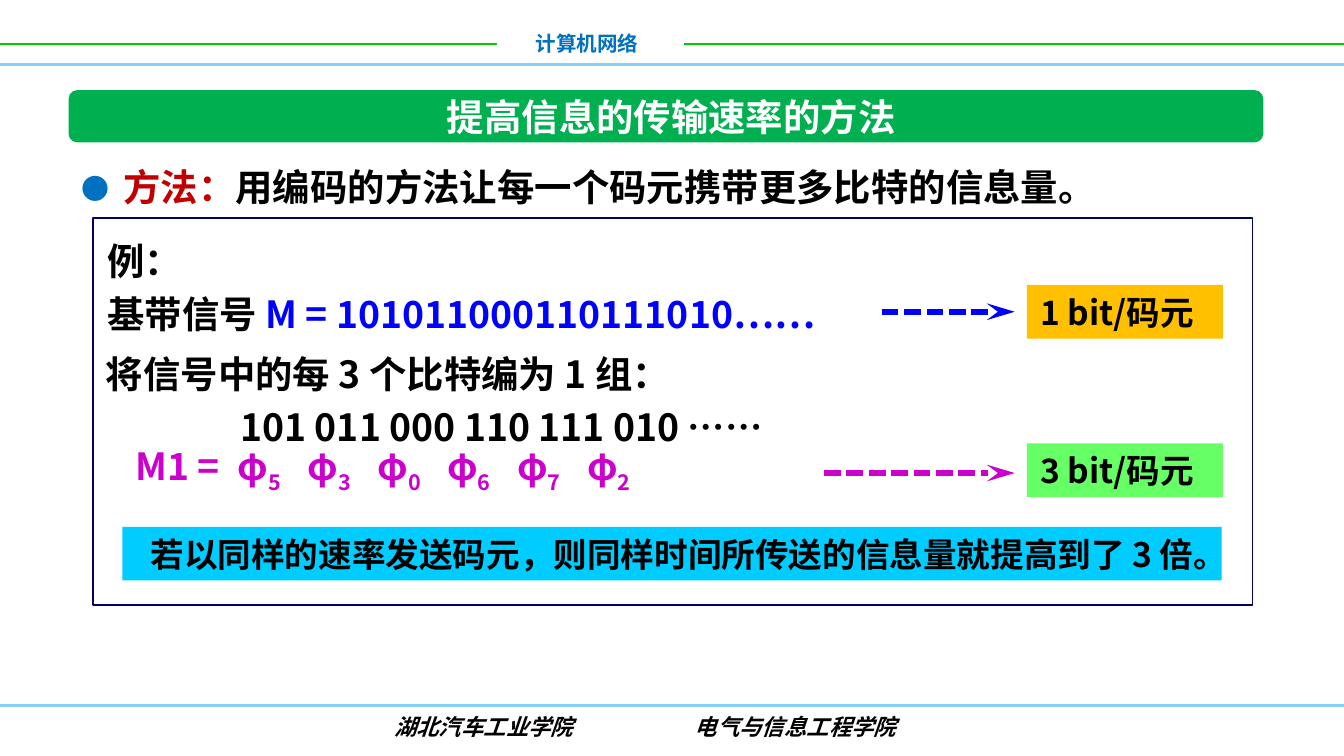
from lxml import etree
from pptx import Presentation
from pptx.dml.color import RGBColor
from pptx.enum import dml, shapes, text
from pptx.oxml.ns import qn
from pptx.util import Inches, Pt

FONT = "Noto Sans CJK SC"
HUES = dict(black="000000", white="FFFFFF", lime="00CC00", sky="85D1F7",
            azure="0070C0", green="00B050", red="C00000", navy="000066",
            pink="CC00CC", mint="66FF66", blue="0000FF", gold="FFC000",
            cyan="00CCFF")
LEFT, MID = text.PP_ALIGN.LEFT, text.PP_ALIGN.CENTER
TITLE = "提高信息的传输速率的方法"
RULES = [
    (0, 3.7, 0.33, "lime", 1),
    (0, 10, 0.48, "sky", 2),
    (5.09, 10, 0.33, "lime", 1),
    (0, 10, 5.25, "sky", 1.5),
]
FOOT = [("湖北汽车工业学院", 3.6), ("电气与信息工程学院", 5.92)]
POINT = [("方法：", "red"), ("用编码的方法让每一个码元携带更多比特的信息量。", "black")]
BASE = [
    [("例：", "black")],
    [("基带信号 ", "black"), ("M = 101011000110111010……", "blue")],
]
GROUP = [
    [("将信号中的每 3 个比特编为 1 组：", "black")],
    [("101 011 000 110 111 010 ……", "black")],
]
PHASES = "530672"
RATES = [
    ("1 bit/码元", 2.12, "gold", 6.56, 2.32, "blue"),
    ("3 bit/码元", 3.3, "mint", 6.13, 3.52, "pink"),
]
RESULT = "若以同样的速率发送码元，则同样时间所传送的信息量就提高到了 3 倍。"


def hue(name):
    return RGBColor.from_string(HUES[name])


def put(item, **vals):
    for key, val in vals.items():
        setattr(item, key, val)


def node(parent, tag, **vals):
    return etree.SubElement(parent, qn("a:" + tag), vals)


def place(item, box):
    put(item, **dict(zip(("left", "top", "width", "height"), map(Inches, box))))


def write(par, words, color, size=20, face=FONT, italic=None, sub=False):
    run = par.add_run()
    run.text = words
    put(run.font, size=Pt(size), name=face, bold=True, italic=italic)
    run.font.color.rgb = hue(color)
    props = run.font._element
    node(props, "ea", typeface=FONT)
    if sub:
        props.set("baseline", "-25000")


def fill(frame, lines, align=LEFT, lead=None, wrap=True,
         anchor=text.MSO_ANCHOR.TOP, **style):
    put(frame, word_wrap=wrap, vertical_anchor=anchor)
    for num, runs in enumerate(lines):
        par = frame.add_paragraph() if num else frame.paragraphs[0]
        put(par, alignment=align, space_before=Pt(0))
        if lead:
            par.line_spacing = Pt(lead)
        for words, color in runs:
            write(par, words, color, **style)
    return frame


def label(slide, box, lines, **style):
    item = slide.shapes.add_textbox(*map(Inches, box))
    return fill(item.text_frame, lines, **style)


def block(slide, box, paint=None, edge=None, kind="RECTANGLE"):
    item = slide.shapes.add_shape(getattr(shapes.MSO_SHAPE, kind), *map(Inches, box))
    item.shadow.inherit = False
    if paint:
        item.fill.solid()
        item.fill.fore_color.rgb = hue(paint)
    else:
        item.fill.background()
    if edge:
        item.line.color.rgb = hue(edge)
        item.line.width = Pt(1)
    else:
        item.line.fill.background()
    return item


def rule(slide, start, end, top, color, width, arrow=False):
    item = slide.shapes.add_connector(
        shapes.MSO_CONNECTOR.STRAIGHT, *map(Inches, (start, top, end, top)))
    item.line.color.rgb = hue(color)
    item.line.width = Pt(width)
    if arrow:
        item.line.dash_style = dml.MSO_LINE.SQUARE_DOT
        node(item.line._get_or_add_ln(), "tailEnd", type="stealth", len="lg")
    node(item._element.spPr, "effectLst")


def frame(slide):
    for row in RULES:
        rule(slide, *row)
    label(slide, (3.88, 0.18, 0.97, 0.29), [[("计算机网络", "azure")]],
          align=text.PP_ALIGN.RIGHT, wrap=False, size=11)
    for name, mid in FOOT:
        label(slide, (mid - 0.95, 5.26, 1.9, 0.3), [[(name, "black")]],
              align=MID, size=12, face="Arial", italic=True)
    bar = block(slide, (0.51, 0.67, 8.89, 0.39), "green", kind="ROUNDED_RECTANGLE")
    bar.adjustments[0] = 0.17
    head = slide.shapes.title
    slide.shapes._spTree.append(head._element)
    place(head, (1.37, 0.67, 7.25, 0.39))
    fill(head.text_frame, [[(TITLE, "white")]], align=MID,
         anchor=text.MSO_ANCHOR.MIDDLE)


def bullet(slide):
    par = label(slide, (0.51, 1.05, 8.89, 3.69), [POINT], lead=33,
                align=text.PP_ALIGN.JUSTIFY).paragraphs[0]
    props = par._p.get_or_add_pPr()
    for key, val in (("marL", 0.31), ("indent", -0.31)):
        props.set(key, str(Inches(val)))
    node(node(props, "buClr"), "srgbClr", val=HUES["azure"])
    node(props, "buSzPct", val="75000")
    node(props, "buFont", typeface=FONT)
    node(props, "buChar", char="●")


def phases(slide):
    par = label(slide, (0.91, 3.25, 5.36, 0.44), [[("M1 =", "pink")]]).paragraphs[0]
    tabs = node(par._p.get_or_add_pPr(), "tabLst")
    for num, digit in enumerate(PHASES):
        node(tabs, "tab", pos=str(Inches(0.76 + 0.52 * num)), algn="l")
        write(par, "\tφ", "pink")
        write(par, digit, "pink", sub=True)


def example(slide):
    block(slide, (0.69, 1.62, 8.63, 2.88), edge="navy")
    phases(slide)
    label(slide, (0.7, 1.67, 5.78, 0.89), BASE, lead=28)
    for words, top, paint, start, level, color in RATES:
        item = block(slide, (7.64, top, 1.46, 0.4), paint)
        fill(item.text_frame, [[(words, "black")]], size=18)
        rule(slide, start, 7.55, level, color, 3, arrow=True)
    item = block(slide, (0.91, 3.92, 8.18, 0.4), "cyan")
    fill(item.text_frame, [[(RESULT, "black")]], align=MID, size=18)
    bits = label(slide, (0.69, 2.51, 6.94, 0.89), GROUP, lead=28)
    bits.paragraphs[1]._p.get_or_add_pPr().set("marL", str(Inches(1)))


def main():
    deck = Presentation()
    put(deck, slide_width=Inches(10), slide_height=Inches(10 * 9 / 16))
    slide = deck.slides.add_slide(deck.slide_layouts[5])
    frame(slide)
    bullet(slide)
    example(slide)
    deck.save("out.pptx")


if __name__ == "__main__":
    main()
